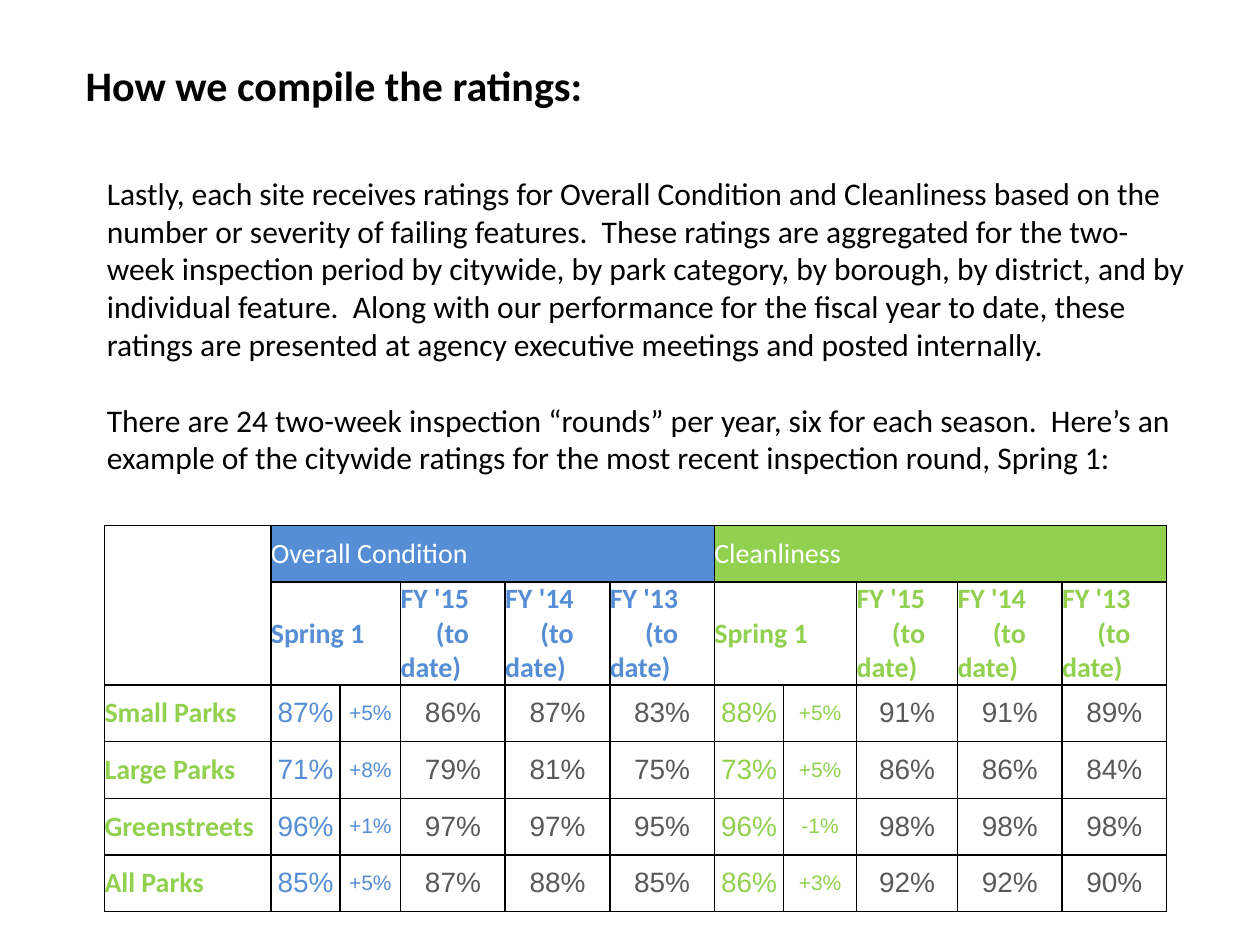
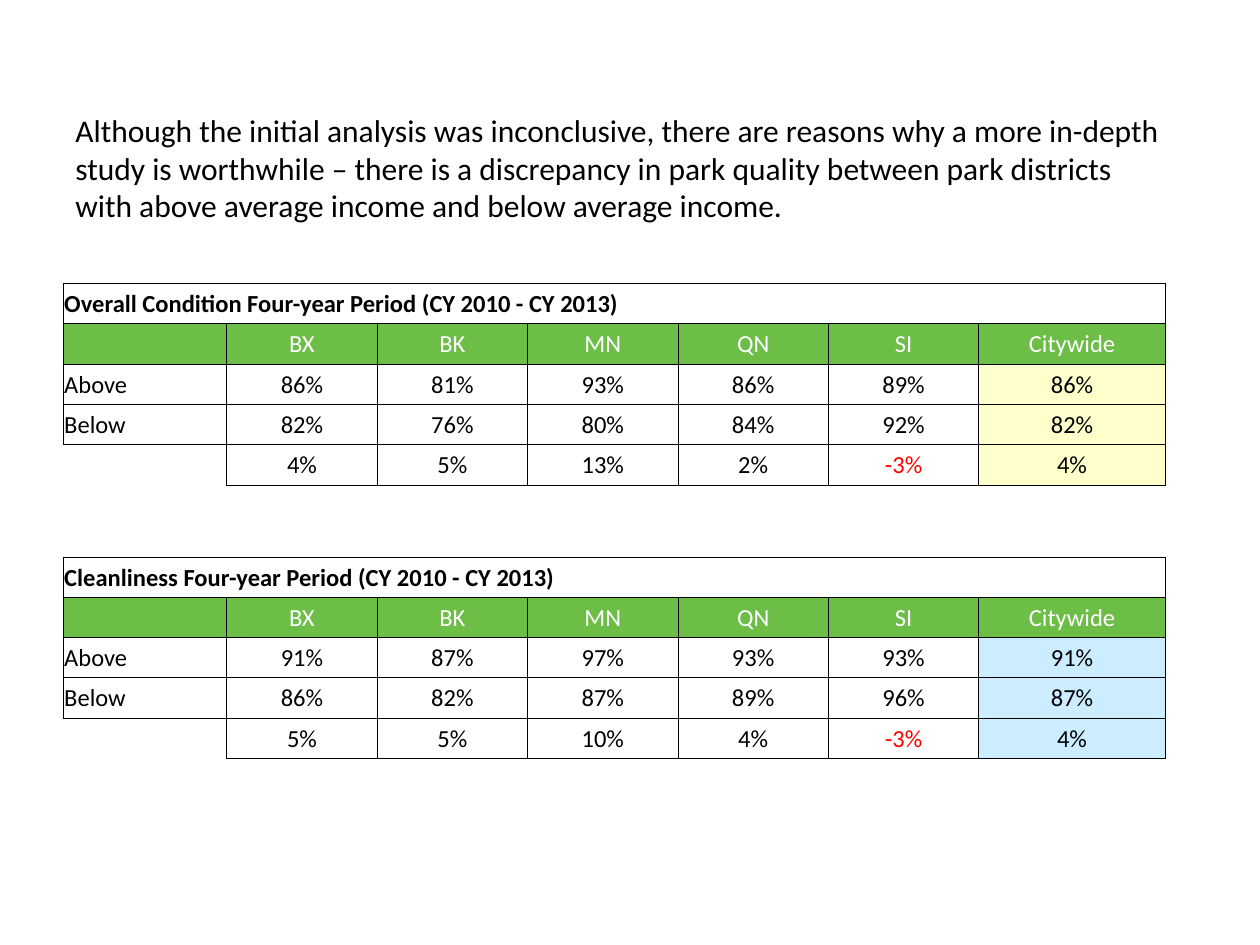
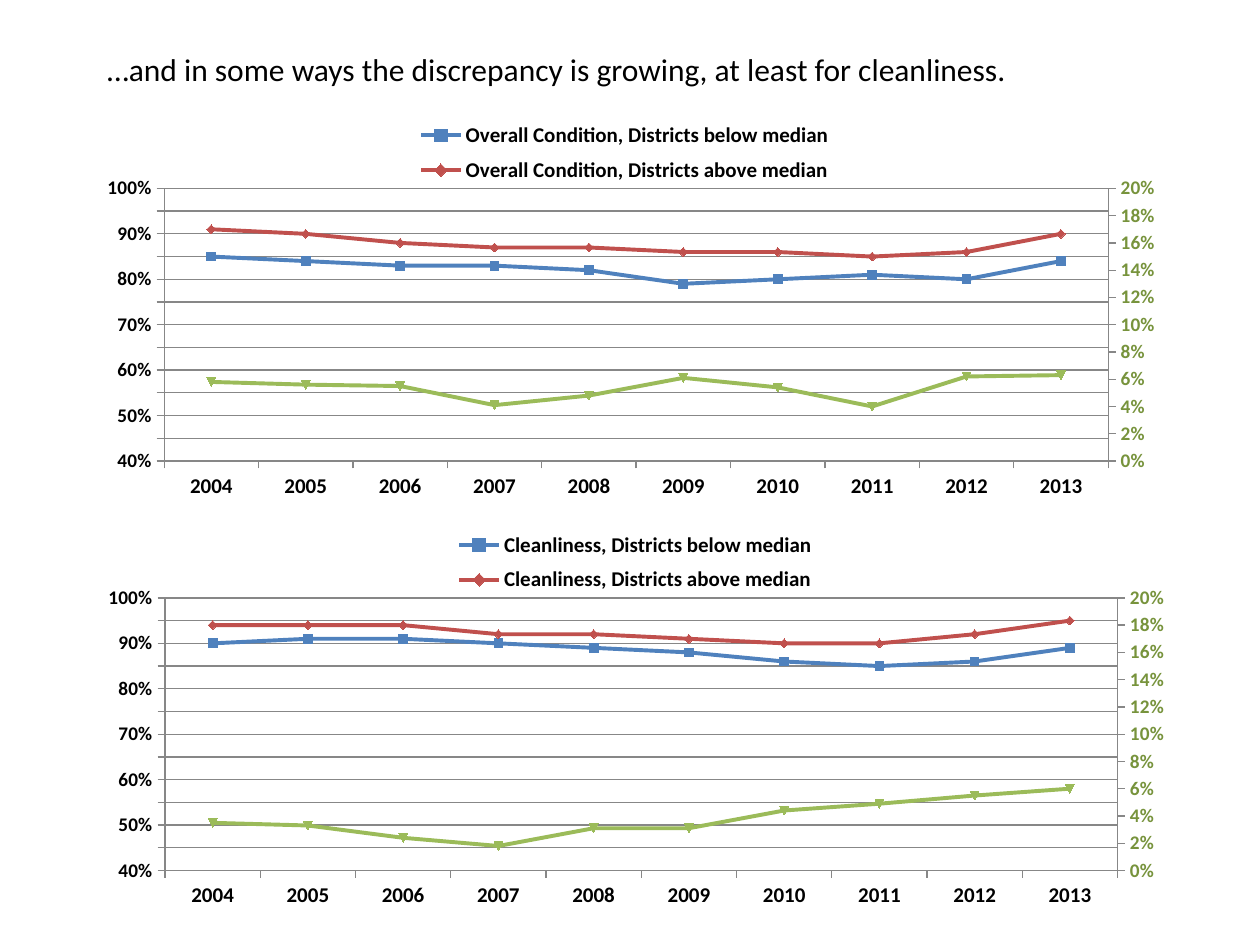
from copy import deepcopy

from lxml import etree
from pptx import Presentation
from pptx.chart.axis import ValueAxis
from pptx.chart.data import CategoryChartData
from pptx.dml.color import RGBColor
from pptx.enum.chart import XL_CHART_TYPE, XL_LEGEND_POSITION, XL_TICK_MARK
from pptx.enum.text import MSO_ANCHOR, MSO_AUTO_SIZE, PP_ALIGN
from pptx.oxml.ns import qn
from pptx.util import Inches, Pt

LEFT, CENTER = PP_ALIGN.LEFT, PP_ALIGN.CENTER
TOP, MIDDLE = MSO_ANCHOR.TOP, MSO_ANCHOR.MIDDLE
LINE_MARKERS = XL_CHART_TYPE.LINE_MARKERS
LEGEND_RIGHT = XL_LEGEND_POSITION.RIGHT
OUTSIDE, NO_TICK = XL_TICK_MARK.OUTSIDE, XL_TICK_MARK.NONE

COLORS = {
    "black": "000000", "white": "FFFFFF", "gray": "58595B", "grid": "878787",
    "blue": "558ED5", "lime": "92D050", "green": "6CBE46", "red": "FF0000",
    "cream": "FFFFCC", "sky": "CCECFF",
    "below": "4F81BD", "above": "C0504D", "difference": "9BBB59", "right axis": "77933C",
}
BODY_FONT, NUMBER_FONT = "Calibri", "Arial"
TITLE_LAYOUT, BLANK_LAYOUT = 5, 6

RATINGS_TITLE = "How we compile the ratings:"
RATINGS_TEXT = [
    "Lastly, each site receives ratings for Overall Condition and Cleanliness based on the "
    "number or severity of failing features.  These ratings are aggregated for the two-week "
    "inspection period by citywide, by park category, by borough, by district, and by "
    "individual feature.  Along with our performance for the fiscal year to date, these "
    "ratings are presented at agency executive meetings and posted internally.",
    "There are 24 two-week inspection “rounds” per year, six for each season.  Here’s an "
    "example of the citywide ratings for the most recent inspection round, Spring 1:",
]
RATINGS_COLUMNS = [1.32, 0.55, 0.48, 0.83, 0.83, 0.83, 0.55, 0.58, 0.8, 0.83, 0.83]
RATINGS_ROWS = [0.45, 0.54, 0.45, 0.45, 0.45, 0.45]
RATING_GROUPS = [("Overall Condition", "blue", 1), ("Cleanliness", "lime", 6)]
FISCAL_YEARS = ["FY '15", "FY '14", "FY '13"]
RATINGS = [
    ("Small Parks", "87% +5% 86% 87% 83% 88% +5% 91% 91% 89%"),
    ("Large Parks", "71% +8% 79% 81% 75% 73% +5% 86% 86% 84%"),
    ("Greenstreets", "96% +1% 97% 97% 95% 96% -1% 98% 98% 98%"),
    ("All Parks", "85% +5% 87% 88% 85% 86% +3% 92% 92% 90%"),
]

INCOME_TEXT = [
    "Although the initial analysis was inconclusive, there are reasons why a more in-depth "
    "study is worthwhile – there is a discrepancy in park quality between park districts "
    "with above average income and below average income.",
]
BOROUGHS = ["", "BX", "BK", "MN", "QN", "SI", "Citywide"]
INCOME_ROW = 0.32
INCOME_WIDTH, LABEL_WIDTH, CITYWIDE_WIDTH = 8.75, 1.3, 1.48
INCOME_TABLES = [
    ("Overall Condition", 2.25, "cream", [
        ("Above", "86% 81% 93% 86% 89% 86%"),
        ("Below", "82% 76% 80% 84% 92% 82%"),
        ("", "4% 5% 13% 2% -3% 4%"),
    ]),
    ("Cleanliness", 4.42, "sky", [
        ("Above", "91% 87% 97% 93% 93% 91%"),
        ("Below", "86% 82% 87% 89% 96% 87%"),
        ("", "5% 5% 10% 4% -3% 4%"),
    ]),
]

TREND_TITLE = "…and in some ways the discrepancy is growing, at least for cleanliness."
YEARS = [str(year) for year in range(2004, 2014)]
SERIES = [("Districts below median", "below"), ("Districts above median", "above"),
          ("Difference", "difference")]
PLOT_SHARE = (0.09, 0.2, 0.84, 0.65)
TRENDS = [
    ("Overall Condition", (0.5, 0.83, 8.92, 3.33), (0.31, 0.02, 0.38, 0.19), [
        [85, 84, 83, 83, 82, 79, 80, 81, 80, 84],
        [91, 90, 88, 87, 87, 86, 86, 85, 86, 90],
        [5.8, 5.6, 5.5, 4.1, 4.8, 6.1, 5.4, 4, 6.2, 6.3],
    ]),
    ("Cleanliness", (0.5, 4.08, 9, 3.33), (0.34, 0.02, 0.33, 0.19), [
        [90, 91, 91, 90, 89, 88, 86, 85, 86, 89],
        [94, 94, 94, 92, 92, 91, 90, 90, 92, 95],
        [3.5, 3.3, 2.4, 1.8, 3.1, 3.1, 4.4, 4.9, 5.5, 6],
    ]),
]


def rgb(name):
    return RGBColor.from_string(COLORS[name])


def style(font, size, color="black", bold=False, name=BODY_FONT):
    font.size, font.bold, font.name = Pt(size), bold, name
    font.color.rgb = rgb(color)


def write(frame, texts, size, color="black", bold=False, name=BODY_FONT, align=LEFT):
    for index, text in enumerate(texts):
        para = frame.add_paragraph() if index else frame.paragraphs[0]
        para.alignment = align
        span = para.add_run()
        span.text = text
        style(span.font, size, color, bold, name)


def fill_box(box, place, texts, size, bold=False):
    box.left, box.top, box.width, box.height = map(Inches, place)
    frame = box.text_frame
    frame.word_wrap = True
    frame.auto_size = MSO_AUTO_SIZE.NONE
    frame.vertical_anchor = TOP
    write(frame, texts, size, bold=bold)
    for para in frame.paragraphs[1:]:
        para.space_before = Pt(size * 1.2)


def add_title_page(deck, place, text, size, bold=False):
    page = deck.slides.add_slide(deck.slide_layouts[TITLE_LAYOUT])
    fill_box(page.shapes.title, place, [text], size, bold)
    return page


def add_body(page, place, texts):
    fill_box(page.shapes.add_textbox(0, 0, 0, 0), place, texts, 18)


def set_borders(cell, width, sides="LRTB"):
    props = cell._tc.get_or_add_tcPr()
    for side in "LRTB":
        line = etree.SubElement(props, qn(f"a:ln{side}"), w=str(Pt(width)))
        if side in sides:
            fill = etree.SubElement(line, qn("a:solidFill"))
            etree.SubElement(fill, qn("a:srgbClr"), val=COLORS["black"])
        else:
            etree.SubElement(line, qn("a:noFill"))


def add_grid(page, left, top, columns, rows, border, margin, open_cells=()):
    place = map(Inches, (left, top, sum(columns), sum(rows)))
    table = page.shapes.add_table(len(rows), len(columns), *place).table
    table.first_row = table.horz_banding = False
    for column, width in zip(table.columns, columns):
        column.width = Inches(width)
    for row, height in zip(table.rows, rows):
        row.height = Inches(height)
    for r in range(len(rows)):
        for c in range(len(columns)):
            cell = table.cell(r, c)
            cell.margin_left = cell.margin_right = cell.margin_top = Inches(margin)
            cell.margin_bottom = 0
            cell.vertical_anchor = MIDDLE
            set_borders(cell, border, "RT" if (r, c) in open_cells else "LRTB")
            paint(cell, "white")
    return table


def paint(cell, color):
    cell.fill.solid()
    cell.fill.fore_color.rgb = rgb(color)


def add_ratings_table(page):
    table = add_grid(page, 0.83, 4.17, RATINGS_COLUMNS, RATINGS_ROWS, 1, 0)
    table.cell(0, 0).merge(table.cell(1, 0))
    for heading, color, first in RATING_GROUPS:
        group, season = table.cell(0, first), table.cell(1, first)
        group.merge(table.cell(0, first + 4))
        paint(group, color)
        write(group.text_frame, [heading], 16, "white")
        season.merge(table.cell(1, first + 1))
        write(season.text_frame, ["Spring 1"], 16, color, True)
        for c, year in enumerate(FISCAL_YEARS, first + 2):
            frame = table.cell(1, c).text_frame
            write(frame, [year, "(to date)"], 16, color, True)
            props = frame.paragraphs[1]._p.get_or_add_pPr()
            props.set("marL", "0")
            props.set("indent", str(Inches(0.28)))
    for r, (label, values) in enumerate(RATINGS, 2):
        write(table.cell(r, 0).text_frame, [label], 16, "lime", True)
        for c, value in enumerate(values.split()):
            group, position = divmod(c, 5)
            color = RATING_GROUPS[group][1] if position < 2 else "gray"
            write(table.cell(r, c + 1).text_frame, [value], 12 if position == 1 else 16,
                  color, name=NUMBER_FONT, align=CENTER)


def add_income_table(page, measure, top, tint, records):
    borough_width = (INCOME_WIDTH - LABEL_WIDTH - CITYWIDE_WIDTH) / 5
    columns = [LABEL_WIDTH] + [borough_width] * 5 + [CITYWIDE_WIDTH]
    table = add_grid(page, 0.5, top, columns, [INCOME_ROW] * 5, 0.5, 0.01, [(4, 0)])
    heading = table.cell(0, 0)
    heading.merge(table.cell(0, 6))
    write(heading.text_frame, [f"{measure} Four-year Period (CY 2010 - CY 2013)"], 14, bold=True)
    lines = [BOROUGHS] + [[label] + values.split() for label, values in records]
    for r, line in enumerate(lines, 1):
        for c, text in enumerate(line):
            cell = table.cell(r, c)
            if r == 1:
                paint(cell, "green")
            elif c == 6:
                paint(cell, tint)
            if text:
                color = "white" if r == 1 else "red" if text.startswith("-") else "black"
                write(cell.text_frame, [text], 14, color, align=CENTER if c else LEFT)


def chart_part(parent, tag, value):
    return etree.SubElement(parent, qn(f"c:{tag}"), val=str(value))


def make_layout(shares, inner=False):
    layout = etree.Element(qn("c:layout"))
    manual = etree.SubElement(layout, qn("c:manualLayout"))
    if inner:
        chart_part(manual, "layoutTarget", "inner")
    for tag in ("xMode", "yMode"):
        chart_part(manual, tag, "edge")
    for tag, share in zip("xywh", shares):
        chart_part(manual, tag, share)
    return layout


def drop(parent, tag):
    for child in parent.findall(qn(f"c:{tag}")):
        parent.remove(child)


def style_axis(axis, size, color="black"):
    axis.major_tick_mark, axis.minor_tick_mark = OUTSIDE, NO_TICK
    axis.format.line.color.rgb = rgb("grid")
    style(axis.tick_labels.font, size, color, True)


def style_value_axis(axis, low, high, step, color="black"):
    style_axis(axis, 11, color)
    axis.minimum_scale, axis.maximum_scale, axis.major_unit = low, high, step
    axis.tick_labels.number_format = "0%"
    axis.tick_labels.number_format_is_linked = False


def add_right_axis(area):
    lines, categories, values = (area.find(qn(f"c:{tag}")) for tag in ("lineChart", "catAx", "valAx"))
    right_lines, right_categories, right_values = map(deepcopy, (lines, categories, values))
    lines.remove(lines.findall(qn("c:ser"))[-1])
    for series in right_lines.findall(qn("c:ser"))[:-1]:
        right_lines.remove(series)
    lines.addnext(right_lines)
    values.addnext(right_values)
    right_values.addnext(right_categories)
    new_ids = {categories.find(qn("c:axId")).get("val"): "5001",
               values.find(qn("c:axId")).get("val"): "5002"}
    for part in (right_lines, right_categories, right_values):
        for tag in ("axId", "crossAx"):
            for node in part.findall(qn(f"c:{tag}")):
                node.set("val", new_ids[node.get("val")])
    right_categories.find(qn("c:delete")).set("val", "1")
    right_values.find(qn("c:axPos")).set("val", "r")
    right_values.find(qn("c:crosses")).set("val", "max")
    drop(right_values, "majorGridlines")
    style_value_axis(ValueAxis(right_values), 0, 0.2, 0.02, "right axis")


def add_trend_chart(page, measure, place, legend_share, values):
    data = CategoryChartData(number_format="0%")
    data.categories = YEARS
    for (name, _), percents in zip(SERIES, values):
        data.add_series(f"{measure}, {name}", [round(percent / 100, 3) for percent in percents])
    chart = page.shapes.add_chart(LINE_MARKERS, *map(Inches, place), data).chart
    chart.has_title = False
    style(chart.font, 18)
    plot = chart.plots[0]
    plot.vary_by_categories = False
    for series, (_, color) in zip(plot.series, SERIES):
        series.smooth = False
        series.format.line.width = Pt(2.25)
        series.format.line.color.rgb = rgb(color)
        marker = series.marker.format
        marker.fill.solid()
        marker.fill.fore_color.rgb = rgb(color)
        marker.line.color.rgb = rgb(color)

    area = chart._chartSpace.chart.plotArea
    value_node = area.find(qn("c:valAx"))
    drop(value_node, "crossBetween")
    between = etree.Element(qn("c:crossBetween"), val="between")
    value_node.find(qn("c:crosses")).addnext(between)
    style_axis(chart.category_axis, 12)
    style_value_axis(chart.value_axis, 0.4, 1, 0.05)
    chart.value_axis.has_major_gridlines = True
    chart.value_axis.major_gridlines.format.line.color.rgb = rgb("grid")
    add_right_axis(area)
    drop(area, "layout")
    area.insert(0, make_layout(PLOT_SHARE, inner=True))

    chart.has_legend = True
    legend = chart.legend
    legend.position, legend.include_in_layout = LEGEND_RIGHT, False
    style(legend.font, 12, bold=True)
    drop(legend._element, "layout")
    hidden = etree.Element(qn("c:legendEntry"))
    chart_part(hidden, "idx", 2)
    chart_part(hidden, "delete", 1)
    anchor = legend._element.find(qn("c:legendPos"))
    anchor.addnext(make_layout(legend_share))
    anchor.addnext(hidden)


def main():
    deck = Presentation()
    deck.slide_width, deck.slide_height = Inches(10), Inches(7.5)

    page = add_title_page(deck, (0.58, 0.42, 6, 0.5), RATINGS_TITLE, 24, True)
    add_body(page, (0.75, 1.33, 8.83, 2.52), RATINGS_TEXT)
    add_ratings_table(page)

    page = deck.slides.add_slide(deck.slide_layouts[BLANK_LAYOUT])
    add_body(page, (0.5, 0.83, 8.83, 1.01), INCOME_TEXT)
    for record in INCOME_TABLES:
        add_income_table(page, *record)

    page = add_title_page(deck, (0.75, 0.35, 8.83, 0.4), TREND_TITLE, 18)
    for record in TRENDS:
        add_trend_chart(page, *record)

    deck.save("out.pptx")


if __name__ == "__main__":
    main()
